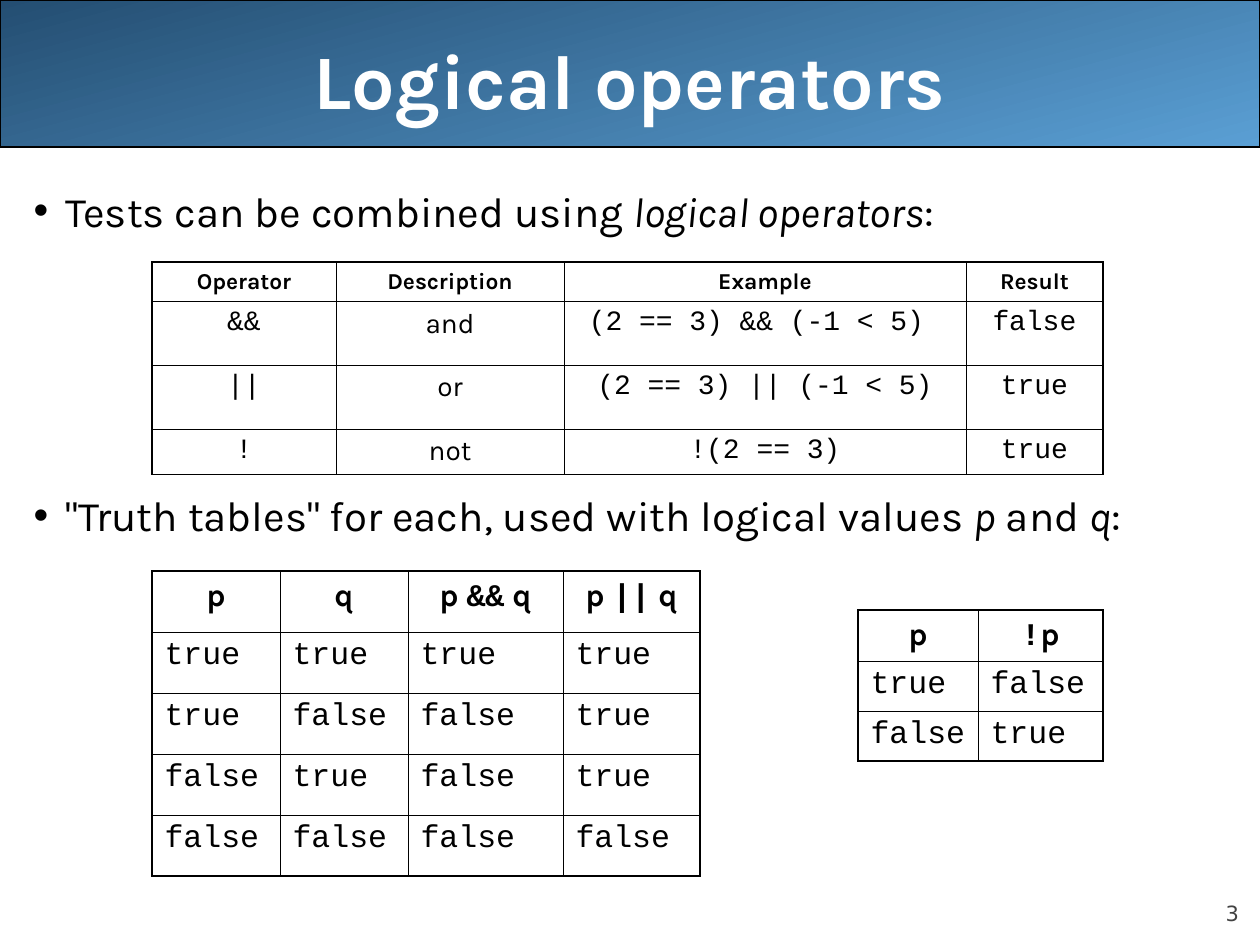
"""Build the slide on logical operators and their truth tables."""
import itertools

import lxml.etree
import pptx
import pptx.dml.color
import pptx.enum.dml
import pptx.enum.shapes
import pptx.enum.text
import pptx.oxml.ns
import pptx.util

TITLE = "Logical operators"
NUMBER = "3"
BULLETS = [
    ("Tests can be combined using ", "logical operators", ":"),
    ('"Truth tables" for each, used with logical values ', "p", " and ", "q", ":"),
]
TABLES = [
    {
        "at": (152, 262), "cols": (184, 228, 402, 137), "rows": (37, 64, 64, 43),
        "head": [("Operator",), ("Description",), ("Example",), ("Result",)],
        "body": [
            ("&&", "and", "(2 == 3) && (-1 < 5) ", "false"),
            ("||", "or", "(2 == 3) || (-1 < 5)", "true"),
            ("!", "not", "!(2 == 3)", "true"),
        ],
        "style": "operators", "sans_cols": (1,), "align": "CENTER",
    },
    {
        "at": (152, 571), "cols": (128, 128, 155, 137), "rows": (61,) * 5,
        "head": [("p",), ("q",), ("p ", "&&", " q"), ("p ", "||", " q")],
        "body": [
            ("true", "true", "true", "true"),
            ("true", "false", "false", "true"),
            ("false", "true", "false", "true"),
            ("false", "false", "false", "false"),
        ],
        "style": "truth", "sans_cols": (), "align": "LEFT",
    },
    {
        "at": (858, 610), "cols": (120, 125), "rows": (50,) * 3,
        "head": [("p",), ("", "!", "p")],
        "body": [("true", "false"), ("false", "true")],
        "style": "truth", "sans_cols": (), "align": "LEFT",
    },
]
THEME = {
    "sans": "Karla", "mono": "Courier New", "number_font": "DejaVu Sans",
    "ink": "000000", "title": "FFFFFF", "number": "424242",
    "banner": ("244E72", "5A9FD4"),
    "title_size": 44, "bullet_size": 24, "number_size": 12,
    "operators": {"head": (13, 3.3), "body": (16, 4)},
    "truth": {"head": (18, 4.5), "body": (18, 4.5)},
    "outer": 1.08, "inner": 0.45,
}
BULLET_GAPS = (6, 145)
ALIGN = pptx.enum.text.PP_ALIGN


def px(n):
    return pptx.util.Emu(n * 914400 // 126)


def rgb(code):
    return pptx.dml.color.RGBColor.from_string(code)


def place(sp, x, y, w, h):
    sp.left, sp.top, sp.width, sp.height = px(x), px(y), px(w), px(h)


def write(p, parts, size, color=THEME["ink"], bold=False,
          fonts=(THEME["sans"],) * 2, italics=(False, False)):
    for text, font, italic in zip(parts, itertools.cycle(fonts), itertools.cycle(italics)):
        if text:
            r = p.add_run()
            r.text = text
            r.font.name, r.font.size = font, pptx.util.Pt(size)
            r.font.bold, r.font.italic = bold, italic
            r.font.color.rgb = rgb(color)


def set_borders(cell, edges):
    tc_pr = cell._tc.get_or_add_tcPr()
    for i, (side, outer) in enumerate(zip("LRTB", edges)):
        ln = lxml.etree.Element(pptx.oxml.ns.qn("a:ln" + side))
        ln.set("w", str(pptx.util.Pt(THEME["outer" if outer else "inner"])))
        fill = lxml.etree.SubElement(ln, pptx.oxml.ns.qn("a:solidFill"))
        lxml.etree.SubElement(fill, pptx.oxml.ns.qn("a:srgbClr")).set("val", THEME["ink"])
        tc_pr.insert(i, ln)


def add_table(s, spec):
    cols, rows = spec["cols"], spec["rows"]
    box = [px(n) for n in (*spec["at"], sum(cols), sum(rows))]
    table = s.shapes.add_table(len(rows), len(cols), *box).table
    table.first_row = table.horz_banding = False
    for column, width in zip(table.columns, cols):
        column.width = px(width)
    for row, height in zip(table.rows, rows):
        row.height = px(height)
    for i, j in itertools.product(range(len(rows)), range(len(cols))):
        cell = table.cell(i, j)
        cell.fill.background()
        set_borders(cell, (j == 0, j == len(cols) - 1, i == 0, i == len(rows) - 1))
        p = cell.text_frame.paragraphs[0]
        size, gap = THEME[spec["style"]]["body" if i else "head"]
        p.space_before = pptx.util.Pt(gap)
        p.alignment = ALIGN[spec["align"]] if i else ALIGN.CENTER
        if i:
            font = THEME["sans" if j in spec["sans_cols"] else "mono"]
            write(p, [spec["body"][i - 1][j]], size, fonts=(font,))
        else:
            write(p, spec["head"][j], size, bold=True, fonts=(THEME["sans"], THEME["mono"]))


def add_banner(s):
    sp = s.shapes.add_shape(pptx.enum.shapes.MSO_SHAPE.RECTANGLE, 0, 0, px(1260), px(147))
    sp.shadow.inherit = False
    sp.fill.gradient()
    sp.fill.gradient_angle = 285
    for stop, color in zip(sp.fill.gradient_stops, THEME["banner"]):
        stop.color.rgb = rgb(color)
    sp.line.color.rgb = rgb(THEME["ink"])
    sp.line.width = pptx.util.Pt(0.75)
    s.shapes._spTree.insert(2, sp._element)


def add_title(s):
    sp = s.shapes.title
    place(sp, 63, 0, 1134, 158)
    tf = sp.text_frame
    tf.auto_size = pptx.enum.text.MSO_AUTO_SIZE.NONE
    tf.vertical_anchor = pptx.enum.text.MSO_ANCHOR.MIDDLE
    p = tf.paragraphs[0]
    p.alignment = ALIGN.CENTER
    write(p, [TITLE], THEME["title_size"], THEME["title"], bold=True)


def add_bullets(s):
    sp = s.placeholders[1]
    place(sp, 21, 179, 1239, 714)
    tf = sp.text_frame
    tf.auto_size = pptx.enum.text.MSO_AUTO_SIZE.NONE
    for i, (parts, gap) in enumerate(zip(BULLETS, BULLET_GAPS)):
        p = tf.add_paragraph() if i else tf.paragraphs[0]
        p.space_before = pptx.util.Pt(gap)
        p_pr = p._p.get_or_add_pPr()
        p_pr.set("marL", str(px(32)))
        p_pr.set("indent", str(-px(32)))
        write(p, parts, THEME["bullet_size"], italics=(False, True))


def add_number(s):
    tf = s.shapes.add_textbox(px(1134), px(876), px(105), px(50)).text_frame
    tf.word_wrap = True
    tf.margin_left = tf.margin_right = tf.margin_top = tf.margin_bottom = 0
    tf.vertical_anchor = pptx.enum.text.MSO_ANCHOR.BOTTOM
    p = tf.paragraphs[0]
    p.alignment = ALIGN.RIGHT
    write(p, [NUMBER], THEME["number_size"], THEME["number"], fonts=(THEME["number_font"],))


def main():
    prs = pptx.Presentation()
    prs.slide_width, prs.slide_height = px(1260), px(945)
    s = prs.slides.add_slide(prs.slide_layouts[1])
    add_banner(s)
    add_title(s)
    add_bullets(s)
    for spec in TABLES:
        add_table(s, spec)
    add_number(s)
    prs.save("out.pptx")


if __name__ == "__main__":
    main()
